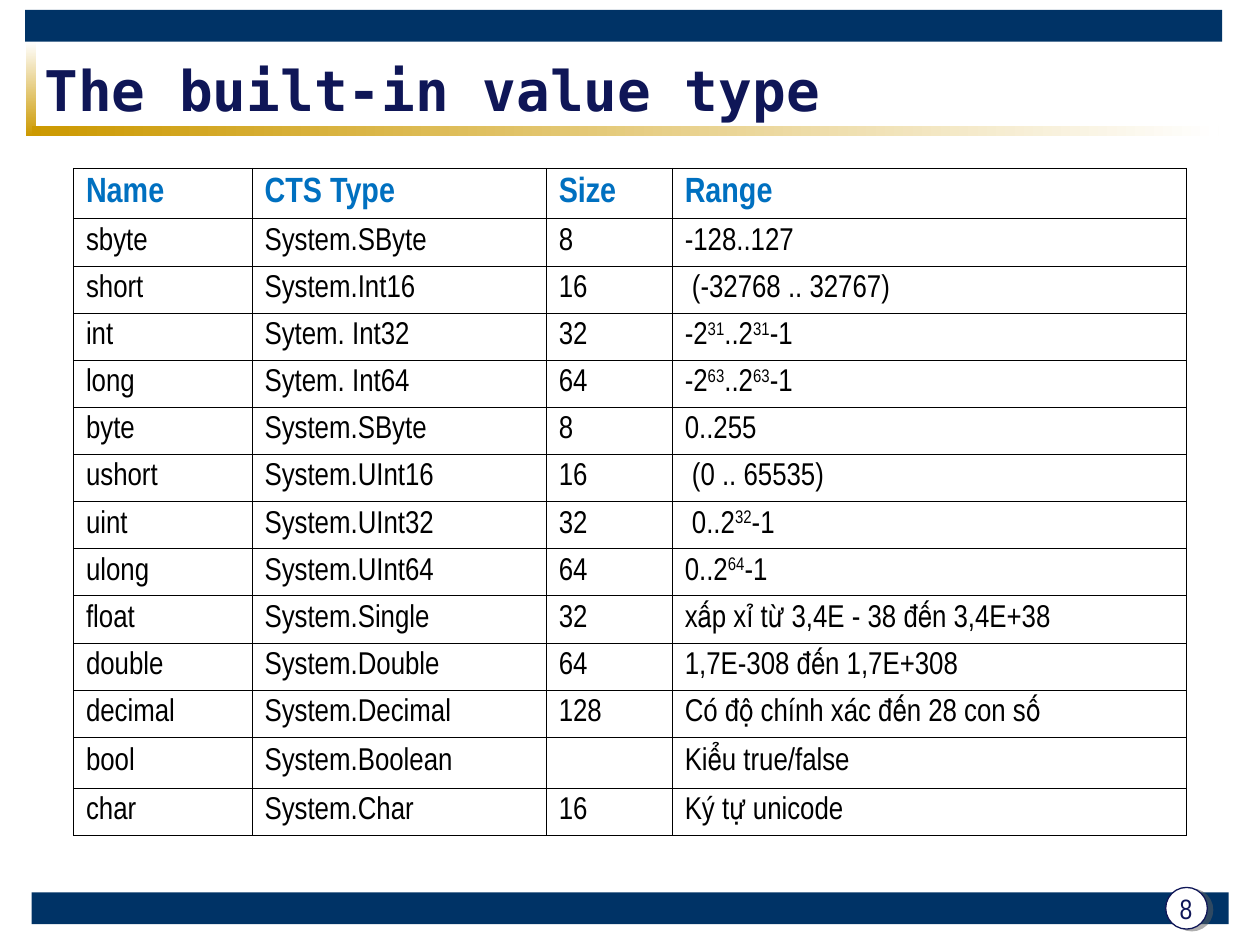
from pptx import Presentation
from pptx import util as u
from pptx.dml import color
from pptx.enum import shapes, text
from pptx.oxml import ns, parse_xml

NAVY, GOLD, INK, WHITE = "003366", "CC9900", "0F1657", "FFFFFF"
BODY_FONT = "Arial Narrow"
HEADINGS = ["Name", "CTS Type", "Size", "Range"]
TYPES = [
    ["sbyte", "System.SByte", "8", "-128..127"],
    ["short", "System.Int16", "16", " (-32768 .. 32767)"],
    ["int", "Sytem. Int32", "32", "-2^31^..2^31^-1"],
    ["long", "Sytem. Int64", "64", "-2^63^..2^63^-1"],
    ["byte", "System.SByte", "8", "0..255"],
    ["ushort", "System.UInt16", "16", " (0 .. 65535)"],
    ["uint", "System.UInt32", "32", " 0..2^32^-1"],
    ["ulong", "System.UInt64", "64", "0..2^64^-1"],
    ["float", "System.Single", "32", "xấp xỉ từ 3,4E - 38 đến 3,4E+38"],
    ["double", "System.Double", "64", "1,7E-308 đến 1,7E+308"],
    ["decimal", "System.Decimal", "128", "Có độ chính xác đến 28 con số"],
    ["bool", "System.Boolean", "", "Kiểu true/false"],
    ["char", "System.Char", "16", "Ký tự unicode"],
]
COLUMN_WIDTHS = [3.6, 5.93, 2.54, 10.37]
ROW_HEIGHT, TALL_ROW_HEIGHT = 0.95, 1.02


def rgb(value):
    """Turn a hex string into a colour."""
    return color.RGBColor.from_string(value)


def add_run(paragraph, words, size, hue, font=BODY_FONT, bold=False):
    """Add one formatted run and return it."""
    run = paragraph.add_run()
    run.text = words
    run.font.name, run.font.size, run.font.bold = font, u.Pt(size), bold
    run.font.color.rgb = rgb(hue)
    return run


def add_figure(slide, kind, left, top, width, height, fill):
    """Add a filled shape without line or shadow."""
    shape = slide.shapes.add_shape(kind, *map(u.Cm, (left, top, width, height)))
    shape.shadow.inherit = False
    shape.line.fill.background()
    shape.fill.solid()
    shape.fill.fore_color.rgb = rgb(fill)
    return shape


def add_fade(slide, left, top, width, height, hues, angle):
    """Add a rectangle that fades between two colours."""
    shape = add_figure(slide, shapes.MSO_SHAPE.RECTANGLE, left, top, width, height, WHITE)
    shape.fill.gradient()
    shape.fill.gradient_angle = angle
    for stop, hue in zip(shape.fill.gradient_stops, hues):
        stop.color.rgb = rgb(hue)


def add_header(slide, left, top, title):
    """Place the top bar, the gold corner and the title."""
    add_figure(slide, shapes.MSO_SHAPE.RECTANGLE, left, top, 24.13, 0.64, NAVY)
    add_fade(slide, left + 0.02, top + 0.64, 0.2, 1.9, (WHITE, GOLD), 270)
    add_fade(slide, left + 0.13, top + 2.34, 23.93, 0.2, (GOLD, WHITE), 0)
    holder = slide.shapes.title
    holder.left, holder.top = u.Cm(left + 0.13), u.Cm(top + 0.87)
    holder.width, holder.height = u.Cm(22.86), u.Cm(1.47)
    frame = holder.text_frame
    frame.vertical_anchor = text.MSO_ANCHOR.MIDDLE
    frame.auto_size = text.MSO_AUTO_SIZE.NONE
    frame.paragraphs[0].alignment = text.PP_ALIGN.LEFT
    add_run(frame.paragraphs[0], title, 32, INK, "DejaVu Sans Mono", True)


def add_borders(cell):
    """Draw thin black lines on all four sides of a cell."""
    properties = cell._tc.get_or_add_tcPr()
    for side in ("lnL", "lnR", "lnT", "lnB"):
        properties.append(parse_xml(
            f'<a:{side} {ns.nsdecls("a")} w="{u.Pt(0.45)}"><a:solidFill>'
            f'<a:srgbClr val="000000"/></a:solidFill></a:{side}>'))


def fill_cell(cell, words, size, hue, bold):
    """Write a cell, raising the parts between carets."""
    add_borders(cell)
    cell.fill.background()
    cell.vertical_anchor = text.MSO_ANCHOR.MIDDLE
    paragraph = cell.text_frame.paragraphs[0]
    paragraph.line_spacing = 0.9
    if not words:
        return
    for index, part in enumerate(words.split("^")):
        run = add_run(paragraph, part, size, hue, bold=bold)
        if index % 2:
            run.font._element.set("baseline", "30000")


def add_type_table(slide, left, top):
    """Place the table of value types."""
    rows = [HEADINGS] + TYPES
    heights = [TALL_ROW_HEIGHT if row[0] in ("Name", "bool") else ROW_HEIGHT for row in rows]
    table = slide.shapes.add_table(
        len(rows), len(HEADINGS), u.Cm(left), u.Cm(top),
        u.Cm(sum(COLUMN_WIDTHS)), u.Cm(sum(heights))).table
    table.first_row = table.horz_banding = False
    for column, width in zip(table.columns, COLUMN_WIDTHS):
        column.width = u.Cm(width)
    for row, height, values in zip(table.rows, heights, rows):
        row.height = u.Cm(height)
        style = (20, "0070C0", True) if values is HEADINGS else (18, "000000", False)
        for cell, words in zip(row.cells, values):
            fill_cell(cell, words, *style)


def add_footer(slide, left, top, number):
    """Place the bottom bar and the page number badge."""
    add_figure(slide, shapes.MSO_SHAPE.RECTANGLE, left, top, 24.13, 0.64, NAVY)
    badge = add_figure(slide, shapes.MSO_SHAPE.OVAL, left + 22.86, top - 0.1, 0.84, 0.84, WHITE)
    badge.line.color.rgb = rgb(INK)
    badge.line.width = u.Pt(0.75)
    effects = badge._element.spPr.find(ns.qn("a:effectLst"))
    effects.append(parse_xml(
        f'<a:outerShdw {ns.nsdecls("a")} dist="{u.Pt(3.2)}" dir="{18 * 60000}">'
        '<a:srgbClr val="5F5F5F"><a:alpha val="50000"/></a:srgbClr></a:outerShdw>'))
    box = slide.shapes.add_textbox(*map(u.Cm, (left + 22.71, top - 0.18, 1.12, 0.99)))
    frame = box.text_frame
    frame.word_wrap = True
    frame.vertical_anchor = text.MSO_ANCHOR.MIDDLE
    frame.paragraphs[0].alignment = text.PP_ALIGN.CENTER
    add_run(frame.paragraphs[0], number, 16, INK)


def main():
    """Build the slide and save it."""
    presentation = Presentation()
    presentation.slide_width, presentation.slide_height = u.Cm(25.4), u.Cm(19.05)
    slide = presentation.slides.add_slide(presentation.slide_layouts[5])
    add_header(slide, 0.51, 0.2, "The built-in value type")
    add_type_table(slide, 1.48, 3.39)
    add_footer(slide, 0.64, 17.99, "8")
    presentation.save("out.pptx")


if __name__ == "__main__":
    main()
